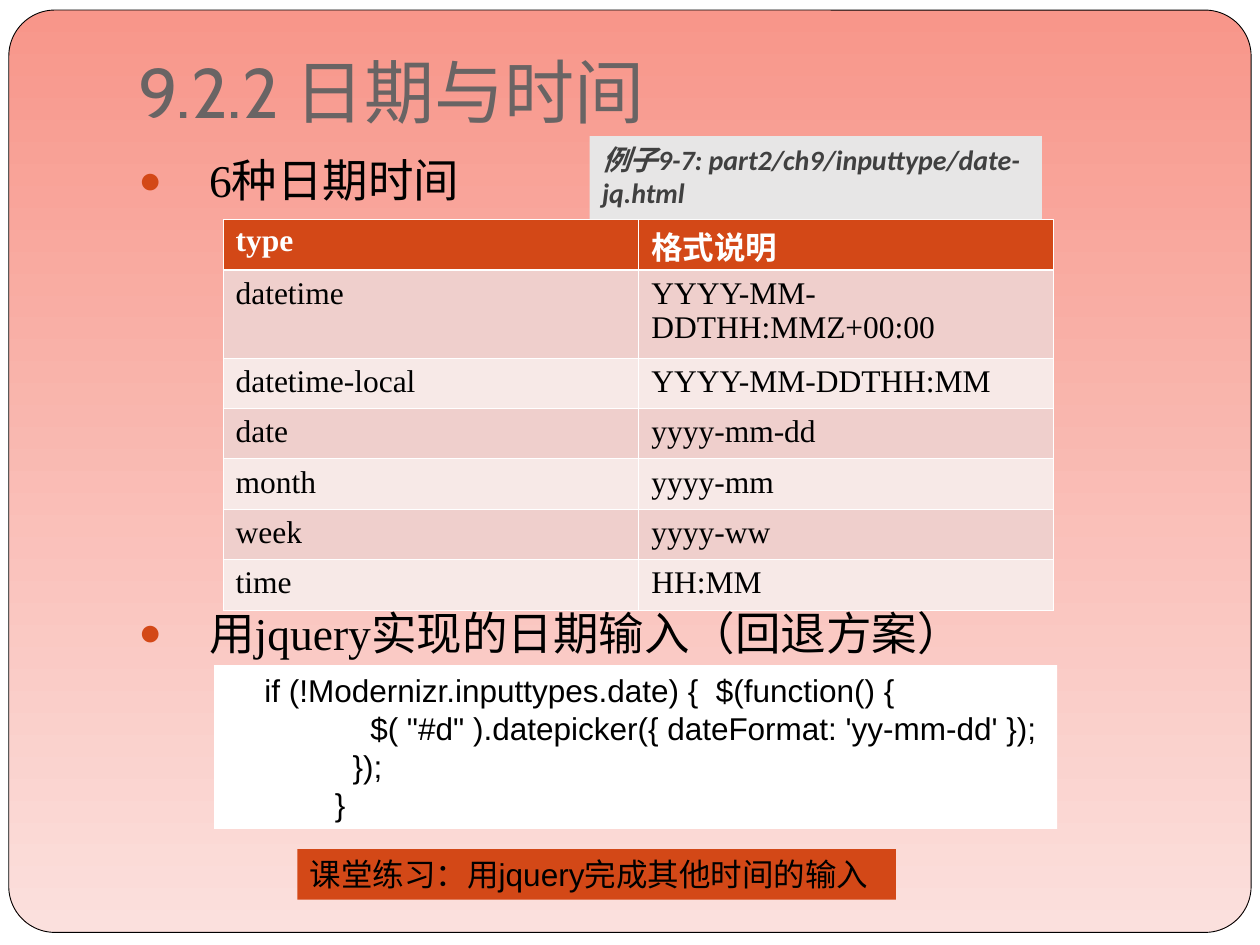
from lxml.etree import SubElement
from pptx import Presentation
from pptx.dml.color import RGBColor
from pptx.enum.shapes import MSO_SHAPE
from pptx.enum.text import MSO_ANCHOR, MSO_AUTO_SIZE, PP_ALIGN
from pptx.oxml import parse_xml
from pptx.oxml.ns import nsdecls, qn
from pptx.util import Inches, Pt

PINK = RGBColor(0xF8, 0x96, 0x8A)
PALE_PINK = RGBColor(0xFB, 0xE0, 0xDD)
ORANGE = RGBColor(0xD3, 0x48, 0x17)
BAND_DARK = RGBColor(0xEF, 0xCF, 0xCC)
BAND_LIGHT = RGBColor(0xF7, 0xE9, 0xE7)
TITLE_GREY = RGBColor(0x69, 0x64, 0x64)
NOTE_GREY = RGBColor(0xE7, 0xE6, 0xE6)
DARK_GREY = RGBColor(0x40, 0x40, 0x40)
WHITE = RGBColor(0xFF, 0xFF, 0xFF)
BLACK = RGBColor(0, 0, 0)

WIDTH, HEIGHT = 10, 7.5
SERIF = "Times New Roman"

FORMATS = [
    ("type", "格式说明"),
    ("datetime", "YYYY-MM-DDTHH:MMZ+00:00"),
    ("datetime-local", "YYYY-MM-DDTHH:MM"),
    ("date", "yyyy-mm-dd"),
    ("month", "yyyy-mm"),
    ("week", "yyyy-ww"),
    ("time", "HH:MM"),
]
# Bullet text and the space above it; the second leaves room for the table
BULLETS = [("6种日期时间", 5.8), ("用jquery实现的日期输入（回退方案）", 227.5)]
# Code line and its indent in inches
CODE = [
    ("if (!Modernizr.inputtypes.date) {  $(function() {", 0.3),
    ("$( \"#d\" ).datepicker({ dateFormat: 'yy-mm-dd' });", 1.14),
    ("});", 1),
    ("}", 0.86),
]


def write(para, text, size=18, font=SERIF, color=BLACK, bold=False, italic=False):
    para.alignment = PP_ALIGN.LEFT
    span = para.add_run()
    span.text = text
    span.font.size = Pt(size)
    span.font.name = font
    span.font.color.rgb = color
    span.font.bold = bold
    span.font.italic = italic


def place(item, left, top, width, height):
    item.left, item.top = Inches(left), Inches(top)
    item.width, item.height = Inches(width), Inches(height)


def paragraphs(frame, count):
    return [frame.paragraphs[0]] + [frame.add_paragraph() for _ in range(count - 1)]


def shade(fill):
    fill.gradient()
    fill.gradient_angle = 270
    for stop, color in zip(fill.gradient_stops, (PINK, PALE_PINK)):
        stop.color.rgb = color


def add_box(page, left, top, width, height, color=None, kind=MSO_SHAPE.RECTANGLE):
    box = page.shapes.add_shape(
        kind, Inches(left), Inches(top), Inches(width), Inches(height))
    box.shadow.inherit = False
    box.line.fill.background()
    if color is not None:
        box.fill.solid()
        box.fill.fore_color.rgb = color
    box.text_frame.word_wrap = True
    box.text_frame.vertical_anchor = MSO_ANCHOR.TOP
    return box


def add_backdrop(page):
    shade(page.background.fill)
    sheet = add_box(page, 0, 0, WIDTH, HEIGHT, WHITE)
    panel = add_box(page, 0.07, 0.08, 9.86, 7.32, kind=MSO_SHAPE.ROUNDED_RECTANGLE)
    panel.adjustments[0] = 0.05
    shade(panel.fill)
    panel.line.color.rgb = BLACK
    panel.line.width = Pt(0.5)
    # Send both behind the placeholders
    tree = sheet.element.getparent()
    for position, item in enumerate((sheet, panel), start=2):
        tree.insert(position, item.element)


def fill_title(title, text):
    place(title, 1, 0.3, 8.5, 0.85)
    frame = title.text_frame
    frame.vertical_anchor = MSO_ANCHOR.BOTTOM
    frame.auto_size = MSO_AUTO_SIZE.NONE
    frame.margin_bottom = Inches(0.1)
    write(frame.paragraphs[0], text, size=40, font="Cabin", color=TITLE_GREY)


def add_bullet(para):
    props = para._p.get_or_add_pPr()
    props.set("marL", str(Inches(0.56)))
    props.set("indent", str(-Inches(0.56)))
    color = SubElement(props, qn("a:buClr"))
    SubElement(color, qn("a:srgbClr"), val=str(ORANGE))
    SubElement(props, qn("a:buSzPct"), val="85000")
    SubElement(props, qn("a:buFont"), typeface="Arial")
    SubElement(props, qn("a:buChar"), char="●")


def fill_body(body):
    place(body, 1, 1.16, 8.5, 5.43)
    frame = body.text_frame
    frame.auto_size = MSO_AUTO_SIZE.NONE
    for para, (text, gap) in zip(paragraphs(frame, len(BULLETS)), BULLETS):
        para.space_before = Pt(gap)
        add_bullet(para)
        write(para, text, size=26)


def set_borders(cell, **widths):
    props = cell._tc.get_or_add_tcPr()
    for position, side in enumerate("LRTB"):
        width = Pt(widths.get(side, 0.45))
        props.insert(position, parse_xml(
            f'<a:ln{side} {nsdecls("a")} w="{width}"><a:solidFill>'
            f'<a:srgbClr val="{WHITE}"/></a:solidFill></a:ln{side}>'))


def add_format_table(page):
    table = page.shapes.add_table(
        len(FORMATS), 2, Inches(1.77), Inches(1.74), Inches(6.59), Inches(3.1)).table
    table.columns[0].width, table.columns[1].width = Inches(3.3), Inches(3.29)
    for number, values in enumerate(FORMATS):
        header = number == 0
        table.rows[number].height = Inches(0.7 if number == 1 else 0.4)
        band = BAND_DARK if number % 2 else BAND_LIGHT
        heavy = {0: {"B": 1.47}, 1: {"T": 1.47}}.get(number, {})
        for column, text in enumerate(values):
            cell = table.cell(number, column)
            cell.fill.solid()
            cell.fill.fore_color.rgb = ORANGE if header else band
            set_borders(cell, **heavy)
            if header:
                # Tall Chinese glyphs must fit the row height
                cell.margin_top, cell.margin_bottom = Inches(0.03), 0
            write(cell.text_frame.paragraphs[0], text,
                  color=WHITE if header else BLACK, bold=header)


def add_code(page):
    box = add_box(page, 1.7, 5.28, 6.69, 1.3, WHITE)
    for para, (text, indent) in zip(paragraphs(box.text_frame, len(CODE)), CODE):
        para._p.get_or_add_pPr().set("marL", str(Inches(indent)))
        para.line_spacing = Pt(21.6)
        write(para, text, font="Arial")


def main():
    deck = Presentation()
    deck.slide_width, deck.slide_height = Inches(WIDTH), Inches(HEIGHT)
    page = deck.slides.add_slide(deck.slide_layouts[1])

    # Background, title and list
    add_backdrop(page)
    fill_title(page.shapes.title, "9.2.2 日期与时间")
    fill_body(page.placeholders[1])

    # Code sample and table of formats
    add_code(page)
    add_format_table(page)

    # Exercise and example labels
    exercise = add_box(page, 2.36, 6.74, 4.75, 0.4, ORANGE)
    exercise.text_frame.word_wrap = False
    write(exercise.text_frame.paragraphs[0],
          "课堂练习：用jquery完成其他时间的输入", font="Arial")
    example = add_box(page, 4.68, 1.08, 3.59, 0.66, NOTE_GREY)
    write(example.text_frame.paragraphs[0],
          "例子9-7: part2/ch9/inputtype/date-jq.html",
          size=16, font="Calibri", color=DARK_GREY, bold=True, italic=True)

    deck.save("out.pptx")


if __name__ == "__main__":
    main()
